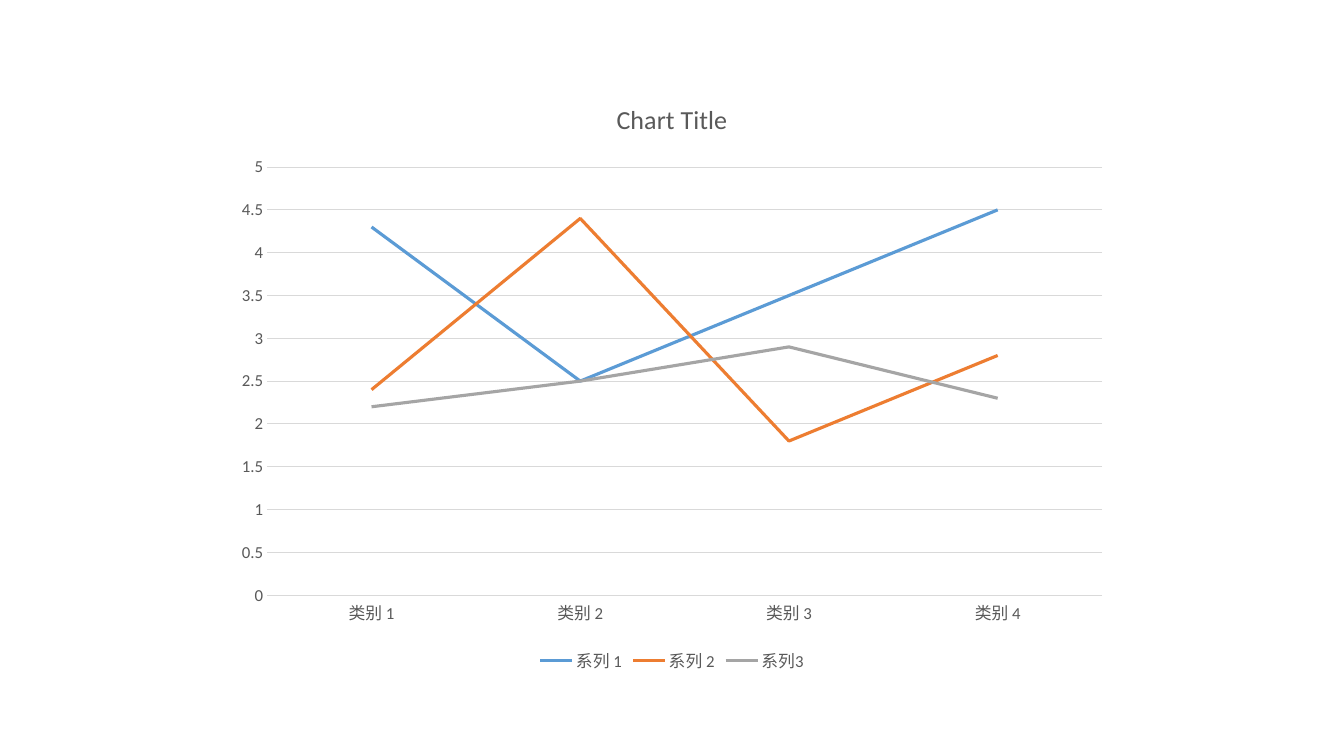
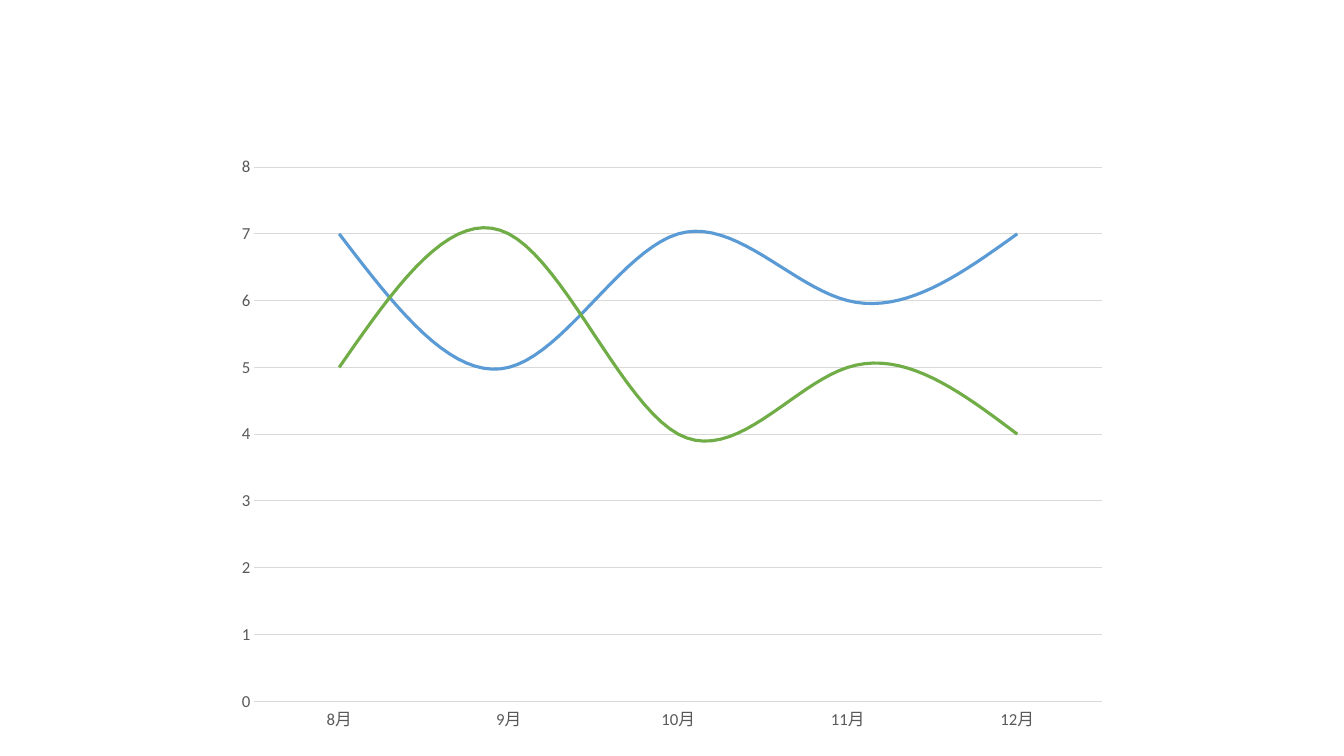
from dataclasses import dataclass
from pptx import Presentation
from pptx.chart.data import CategoryChartData as Data
from pptx.dml.color import RGBColor as RGB
from pptx.enum.chart import XL_CHART_TYPE as Kind, XL_LEGEND_POSITION as Spot
from pptx.enum.chart import XL_TICK_MARK as Tick
from pptx.util import Inches, Pt

# Content: top is a length in inches
CHARTS = [
    dict(
        top=0.79, title="Chart Title", legend=True, smooth=False,
        cats=["类别 1", "类别 2", "类别 3", "类别 4"],
        series=[
            ("系列 1", "blue", (4.3, 2.5, 3.5, 4.5)),
            ("系列 2", "orange", (2.4, 4.4, 1.8, 2.8)),
            ("系列3", "gray", (2.2, 2.5, 2.9, 2.3)),
        ],
    ),
    dict(
        top=1.44, title=None, legend=False, smooth=True,
        cats=["8月", "9月", "10月", "11月", "12月"],
        series=[
            ("Series 1", "blue", (7, 5, 7, 6, 7)),
            ("Series 2", "green", (5, 7, 4, 5, 4)),
        ],
    ),
]


@dataclass(frozen=True)
class Theme:
    face: str = "Calibri"
    text: str = "595959"
    rule: str = "D9D9D9"
    blue: str = "5B9BD5"
    orange: str = "ED7D31"
    gray: str = "A5A5A5"
    green: str = "70AD47"
    label: float = 12
    title: float = 18.6
    hair: float = 0.75
    curve: float = 2.25


LOOK = Theme()
WIDE, HIGH = Inches(13.33), Inches(7.5)
# Chart frame as shares of the slide: two thirds wide, centred
SPAN, TALL = round(WIDE * 2 / 3), round(HIGH * 0.79)
LEFT = (WIDE - SPAN) // 2


def style(font, size):
    font.name, font.size, font.bold = LOOK.face, Pt(size), False
    font.color.rgb = RGB.from_string(LOOK.text)


def stroke(line, color, width):
    line.width = Pt(width)
    line.color.rgb = RGB.from_string(color)


def set_axes(chart):
    for axis in (chart.category_axis, chart.value_axis):
        axis.major_tick_mark = axis.minor_tick_mark = Tick.NONE
        style(axis.tick_labels.font, LOOK.label)
    stroke(chart.category_axis.format.line, LOOK.rule, LOOK.hair)
    value = chart.value_axis
    value.format.line.fill.background()
    value.has_major_gridlines = True
    stroke(value.major_gridlines.format.line, LOOK.rule, LOOK.hair)


def add_lines(slide, item):
    data = Data()
    data.categories = item["cats"]
    for name, _, vals in item["series"]:
        data.add_series(name, vals)
    chart = slide.shapes.add_chart(
        Kind.LINE, LEFT, Inches(item["top"]), SPAN, TALL, data).chart
    style(chart.font, LOOK.label)
    set_axes(chart)

    # Title and legend
    chart.has_title = bool(item["title"])
    if item["title"]:
        frame = chart.chart_title.text_frame
        frame.text = item["title"]
        style(frame.paragraphs[0].font, LOOK.title)
        chart.chart_title.include_in_layout = False
    chart.has_legend = item["legend"]
    if item["legend"]:
        chart.legend.position = Spot.BOTTOM
        chart.legend.include_in_layout = False
        style(chart.legend.font, LOOK.label)

    # Curves
    plot = chart.plots[0]
    plot.vary_by_categories = False
    for line, (_, color, _) in zip(plot.series, item["series"]):
        line.smooth = item["smooth"]
        stroke(line.format.line, getattr(LOOK, color), LOOK.curve)


def main():
    deck = Presentation()
    deck.slide_width, deck.slide_height = WIDE, HIGH
    for item in CHARTS:
        add_lines(deck.slides.add_slide(deck.slide_layouts[6]), item)
    deck.save("out.pptx")


if __name__ == "__main__":
    main()
